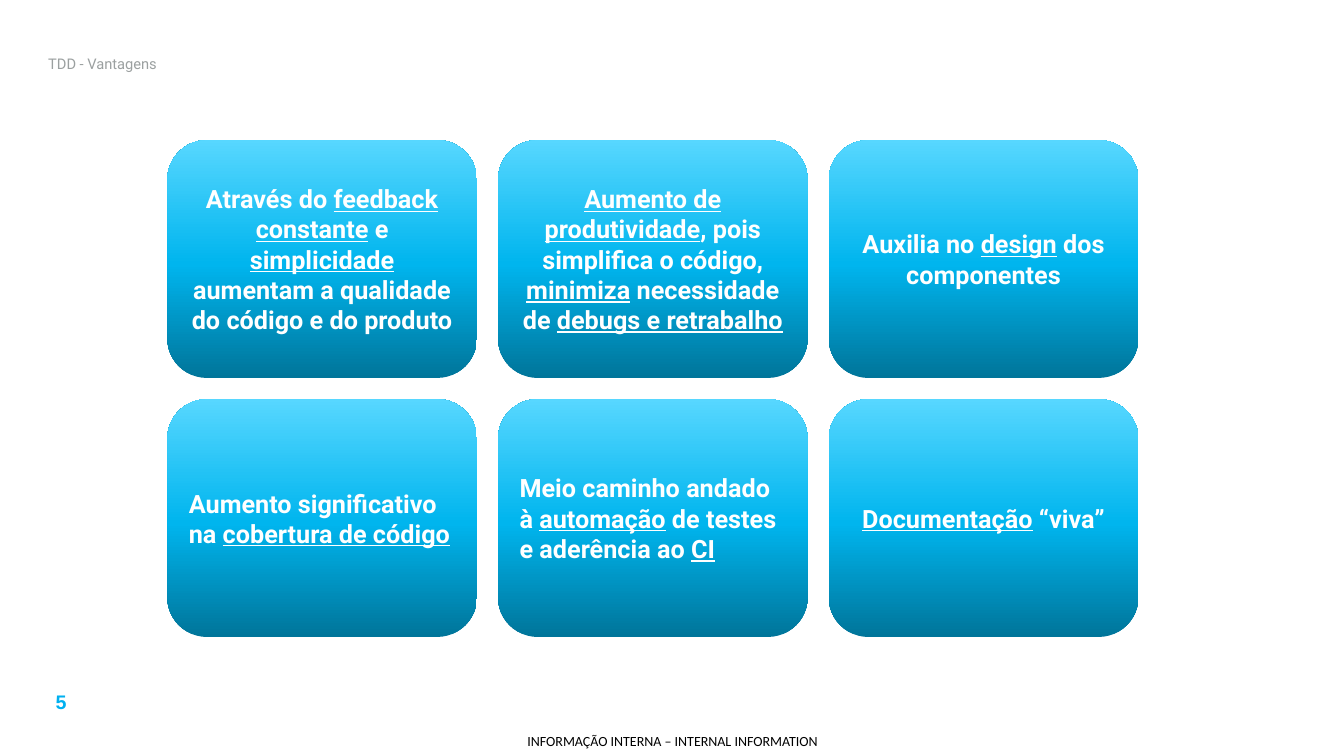
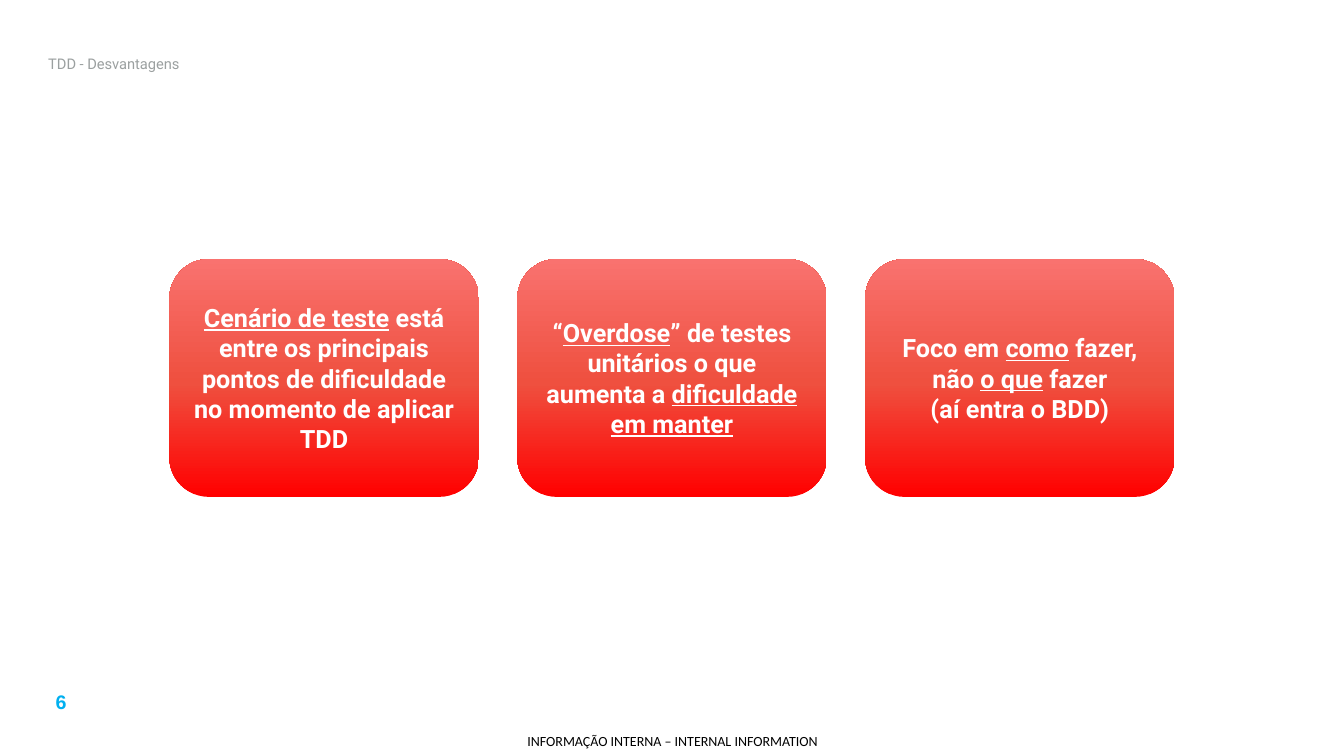
from lxml.etree import SubElement
from pptx import Presentation
from pptx.dml.color import RGBColor
from pptx.enum.shapes import MSO_SHAPE
from pptx.enum.text import MSO_ANCHOR, PP_ALIGN
from pptx.oxml.ns import qn
from pptx.util import Inches, Pt

BLUE = ("00759A", "00B5EE", "57D7FF")
RED = ("FF0000", "EF503F", "F9726F")
STOPS = (0, 48, 100)
CARD_WIDTH, CARD_HEIGHT = 3.07, 2.36

ADVANTAGES = [
    ("Através do _feedback constante_ e _simplicidade_ aumentam a qualidade "
     "do código e do produto", PP_ALIGN.CENTER),
    ("_Aumento de produtividade_, pois simplifica o código, _minimiza_ "
     "necessidade de _debugs e retrabalho_", PP_ALIGN.CENTER),
    ("Auxilia no _design_ dos componentes", PP_ALIGN.CENTER),
    ("Aumento significativo na _cobertura de código_", PP_ALIGN.LEFT),
    ("Meio caminho andado à _automação_ de testes e aderência ao _CI_", PP_ALIGN.LEFT),
    ("_Documentação_ “viva”", PP_ALIGN.CENTER),
]
DISADVANTAGES = [
    ("_Cenário de teste_ está entre os principais pontos de dificuldade "
     "no momento de aplicar TDD", PP_ALIGN.CENTER),
    ("“_Overdose_” de testes unitários o que aumenta a _dificuldade em manter_",
     PP_ALIGN.CENTER),
    ("Foco em _como_ fazer, não _o que_ fazer\n(aí entra o BDD)", PP_ALIGN.CENTER),
]


def color(value):
    return RGBColor.from_string(value)


class Deck:
    def __init__(self, first_number):
        self.presentation = Presentation()
        self.presentation.slide_width = Inches(13.33)
        self.presentation.slide_height = Inches(7.5)
        self.number = first_number
        self.slide = None

    def start(self, title):
        self.slide = self.presentation.slides.add_slide(self.presentation.slide_layouts[6])
        self.label(str(self.number), (0.21, 6.8, 0.79, 0.34), "Arial", 14, "00B0F0",
                   bold=True, anchor=MSO_ANCHOR.TOP)
        self.label("INFORMAÇÃO INTERNA – INTERNAL INFORMATION", (5.03, 7.21, 3.28, 0.29),
                   "Calibri", 10, "000000", margin=0)
        self.label(title, (0.38, 0.38, 11.88, 0.5), "Roboto", 10.5, "9BA0A0",
                   align=PP_ALIGN.LEFT)
        self.number += 1

    def style(self, run, font, size, ink, bold):
        run.font.name = font
        run.font.size = Pt(size)
        run.font.bold = bold
        run.font.color.rgb = color(ink)

    def label(self, text, box, font, size, ink, bold=False, align=PP_ALIGN.CENTER,
              anchor=MSO_ANCHOR.MIDDLE, margin=0.1):
        frame = self.slide.shapes.add_textbox(*map(Inches, box)).text_frame
        frame.word_wrap = True
        frame.vertical_anchor = anchor
        frame.margin_left = frame.margin_right = Inches(margin)
        frame.margin_top = frame.margin_bottom = Inches(margin / 2)
        frame.text = text
        paragraph = frame.paragraphs[0]
        paragraph.alignment = align
        self.style(paragraph.runs[0], font, size, ink, bold)

    def gradient(self, shape, shades):
        shape.fill.gradient()
        shape.fill.gradient_angle = 90
        stops = shape.fill._fill._gradFill.find(qn("a:gsLst"))
        for stop in list(stops):
            stops.remove(stop)
        for position, shade in zip(STOPS, shades):
            stop = SubElement(stops, qn("a:gs"), pos=str(position * 1000))
            SubElement(stop, qn("a:srgbClr"), val=shade)

    def card(self, text, left, top, shades, align):
        card = self.slide.shapes.add_shape(
            MSO_SHAPE.ROUNDED_RECTANGLE,
            *map(Inches, (left, top, CARD_WIDTH, CARD_HEIGHT)))
        card.shadow.inherit = False
        card.line.fill.background()
        self.gradient(card, shades)
        frame = card.text_frame
        frame.word_wrap = True
        frame.vertical_anchor = MSO_ANCHOR.MIDDLE
        paragraph = frame.paragraphs[0]
        paragraph.alignment = align
        for index, part in enumerate(text.split("_")):
            for row, line in enumerate(part.split("\n")):
                if row:
                    paragraph.add_line_break()
                if line:
                    run = paragraph.add_run()
                    run.text = line
                    self.style(run, "Roboto", 18, "FFFFFF", True)
                    run.font.underline = index % 2 == 1

    def cards(self, items, left, top, gap, shades, columns=3):
        for index, (text, align) in enumerate(items):
            row, column = divmod(index, columns)
            self.card(text, left + column * (CARD_WIDTH + gap),
                      top + row * (CARD_HEIGHT + gap), shades, align)


def main():
    deck = Deck(first_number=5)
    deck.start("TDD - Vantagens")
    deck.cards(ADVANTAGES, 1.66, 1.39, 0.21, BLUE)
    deck.start("TDD - Desvantagens")
    deck.cards(DISADVANTAGES, 1.68, 2.57, 0.38, RED)
    deck.presentation.save("out.pptx")


if __name__ == "__main__":
    main()
